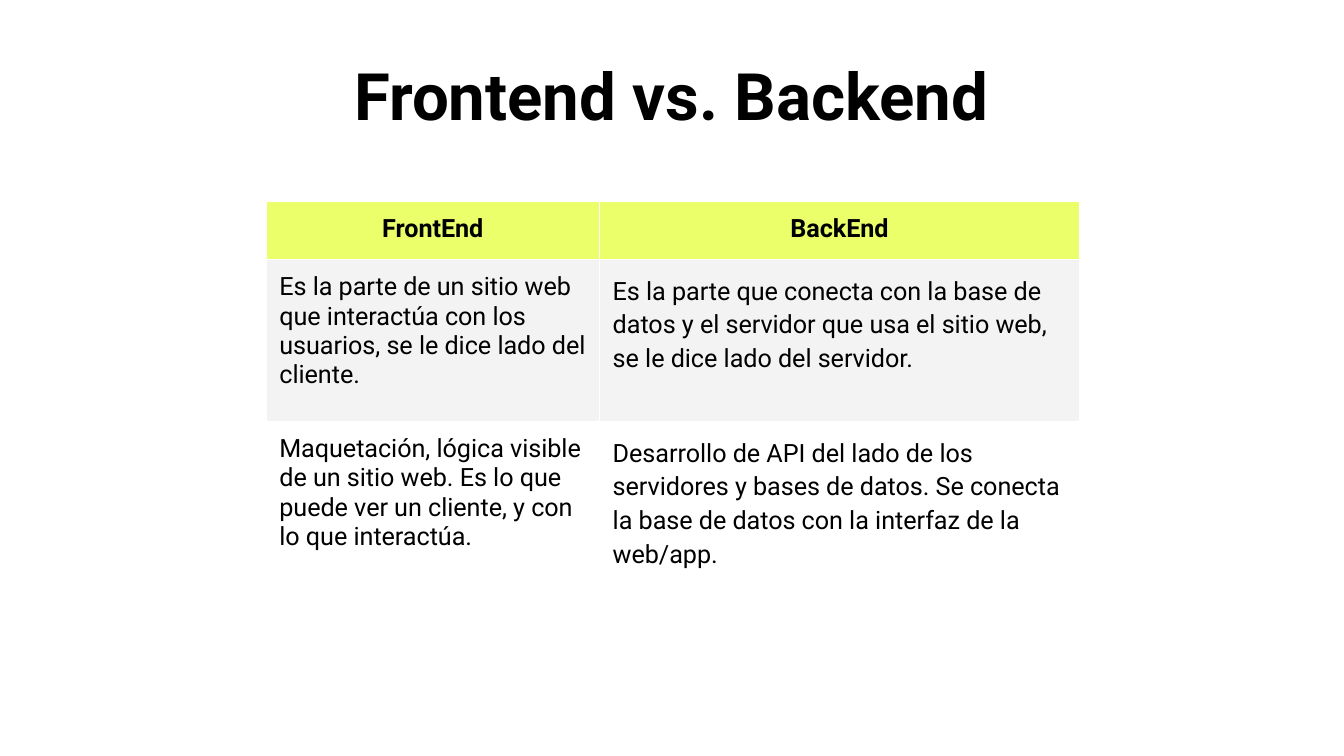
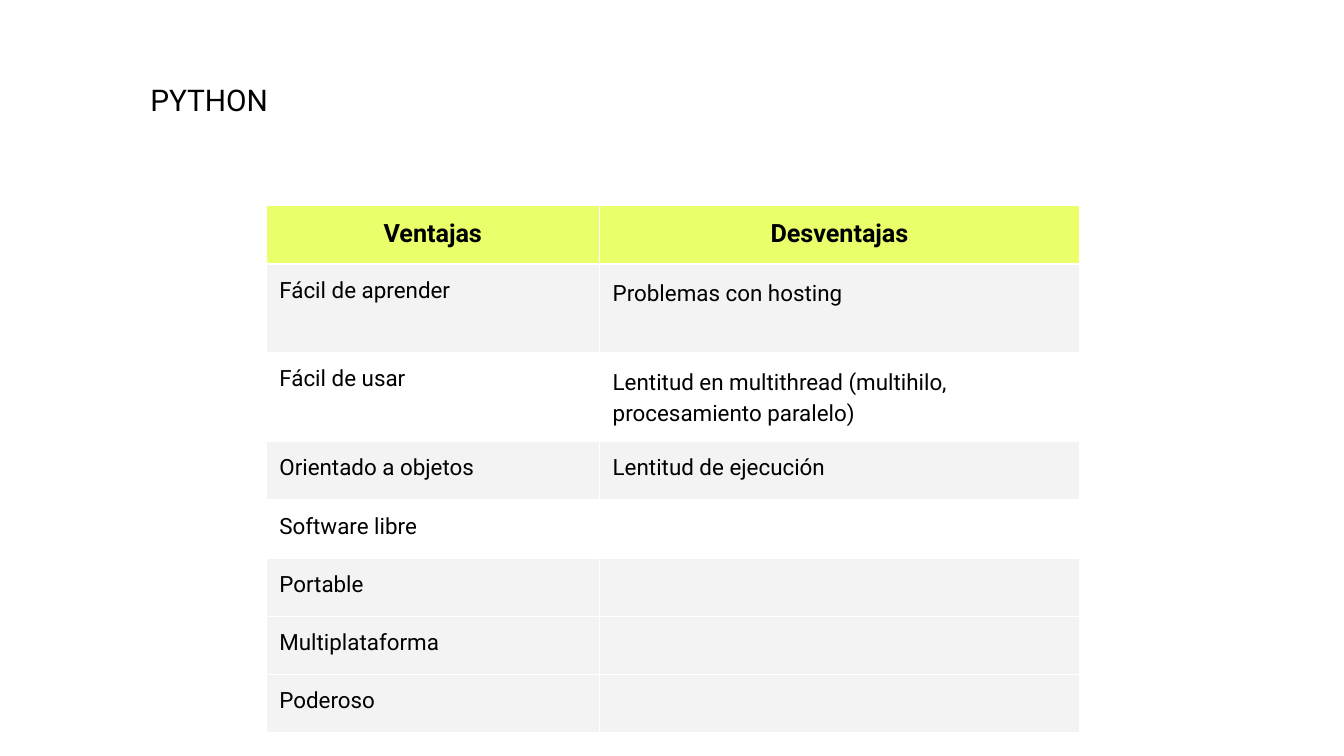
import pptx
import pptx.dml.color
import pptx.enum.text
import pptx.oxml.ns
import pptx.util
from lxml import etree

Cm = pptx.util.Cm
Pt = pptx.util.Pt
qn = pptx.oxml.ns.qn
RGBColor = pptx.dml.color.RGBColor
ALIGN = pptx.enum.text.PP_ALIGN

BLACK = RGBColor(0x00, 0x00, 0x00)
WHITE = RGBColor(0xFF, 0xFF, 0xFF)
LIME = RGBColor(0xEA, 0xFF, 0x6A)
GREY = RGBColor(0xF3, 0xF3, 0xF3)

FONT = "Roboto"
HEADER_SIZE = 13.5
COLUMN_WIDTHS = (6.3, 9.07)
HEADER_HEIGHT = 1.1
WHITE_ROWS = (2, 4)
LOOSE_ROWS = (1, 2)
LOOSE_SPACING = 1.15
INSETS = {side: Cm(0.25) for side in
          ("margin_left", "margin_top", "margin_right", "margin_bottom")}
TITLE_FRAME = {
    **INSETS,
    "word_wrap": True,
    "vertical_anchor": pptx.enum.text.MSO_ANCHOR.TOP,
    "auto_size": pptx.enum.text.MSO_AUTO_SIZE.SHAPE_TO_FIT_TEXT,
}


def apply(target, formats):
    for name, value in formats.items():
        setattr(target, name, value)


def write(paragraph, words, size, bold=False, **layout):
    apply(paragraph, layout)
    if not words:
        etree.SubElement(paragraph._p, qn("a:endParaRPr"), sz=str(int(size * 100)))
        return
    run = paragraph.add_run()
    run.text = words
    apply(run.font, {"name": FONT, "size": Pt(size), "bold": bold})
    run.font.color.rgb = BLACK


def add_borders(cell):
    properties = cell._tc.get_or_add_tcPr()
    for side in ("lnL", "lnR", "lnT", "lnB"):
        line = etree.SubElement(properties, qn(f"a:{side}"), w=str(Pt(0.75)))
        fill = etree.SubElement(line, qn("a:solidFill"))
        etree.SubElement(fill, qn("a:srgbClr"), val=str(WHITE))


def add_heading(slide, box, words, size, bold=False, **layout):
    heading = slide.shapes.title
    apply(heading, dict(zip(("left", "top", "width", "height"), map(Cm, box))))
    apply(heading.text_frame, TITLE_FRAME)
    write(heading.text_frame.paragraphs[0], words, size, bold, **layout)


def fill_cell(cell, words, row, column, body_size):
    add_borders(cell)
    apply(cell, INSETS)
    cell.fill.solid()
    paragraph = cell.text_frame.paragraphs[0]
    if row == 0:
        cell.fill.fore_color.rgb = LIME
        write(paragraph, words, HEADER_SIZE, True, alignment=ALIGN.CENTER)
        return
    cell.fill.fore_color.rgb = WHITE if row in WHITE_ROWS else GREY
    loose = column == 1 and row in LOOSE_ROWS
    write(paragraph, words, body_size,
          line_spacing=LOOSE_SPACING if loose else None)


def add_comparison(slide, left, top, rows, body_heights, body_size):
    heights = (HEADER_HEIGHT, *body_heights)
    comparison = slide.shapes.add_table(
        len(rows), len(COLUMN_WIDTHS), Cm(left), Cm(top),
        Cm(sum(COLUMN_WIDTHS)), Cm(sum(heights))).table
    comparison.horz_banding = False
    for column, width in zip(comparison.columns, COLUMN_WIDTHS):
        column.width = Cm(width)
    for index, (entries, height) in enumerate(zip(rows, heights)):
        comparison.rows[index].height = Cm(height)
        for column, words in enumerate(entries):
            fill_cell(comparison.cell(index, column), words, index, column, body_size)


def add_slide(deck):
    slide = deck.slides.add_slide(deck.slide_layouts[5])
    slide.background.fill.solid()
    slide.background.fill.fore_color.rgb = WHITE
    return slide


def build_frontend_backend(deck):
    slide = add_slide(deck)
    add_heading(slide, (4.06, 0.97, 17.27, 3.2), "Frontend vs. Backend", 35, True,
                alignment=ALIGN.CENTER, line_spacing=0.9)
    rows = (
        ("FrontEnd", "BackEnd"),
        ("Es la parte de un sitio web que interactúa con los usuarios, "
         "se le dice lado del cliente.",
         "Es la parte que conecta con la base de datos y el servidor que usa "
         "el sitio web, se le dice lado del servidor."),
        ("Maquetación, lógica visible de un sitio web. Es lo que puede ver "
         "un cliente, y con lo que interactúa.",
         "Desarrollo de API del lado de los servidores y bases de datos. "
         "Se conecta la base de datos con la interfaz de la web/app."),
    )
    add_comparison(slide, 5.03, 3.8, rows, (3.06, 4.02), 13.5)


def build_python(deck):
    slide = add_slide(deck)
    add_heading(slide, (2.59, 1.3, 6.83, 1.19), "PYTHON", 16, alignment=ALIGN.LEFT)
    rows = (
        ("Ventajas", "Desventajas"),
        ("Fácil de aprender", "Problemas con hosting"),
        ("Fácil de usar", "Lentitud en multithread (multihilo, procesamiento paralelo)"),
        ("Orientado a objetos", "Lentitud de ejecución"),
        ("Software libre", ""),
        ("Portable", ""),
        ("Multiplataforma", ""),
        ("Poderoso", ""),
    )
    add_comparison(slide, 5.03, 3.89, rows, (1.68,) * 2 + (1.1,) * 5, 12)


def main():
    deck = pptx.Presentation()
    apply(deck, {"slide_width": Cm(25.4), "slide_height": Cm(14.29)})
    build_frontend_backend(deck)
    build_python(deck)
    deck.save("out.pptx")


if __name__ == "__main__":
    main()
